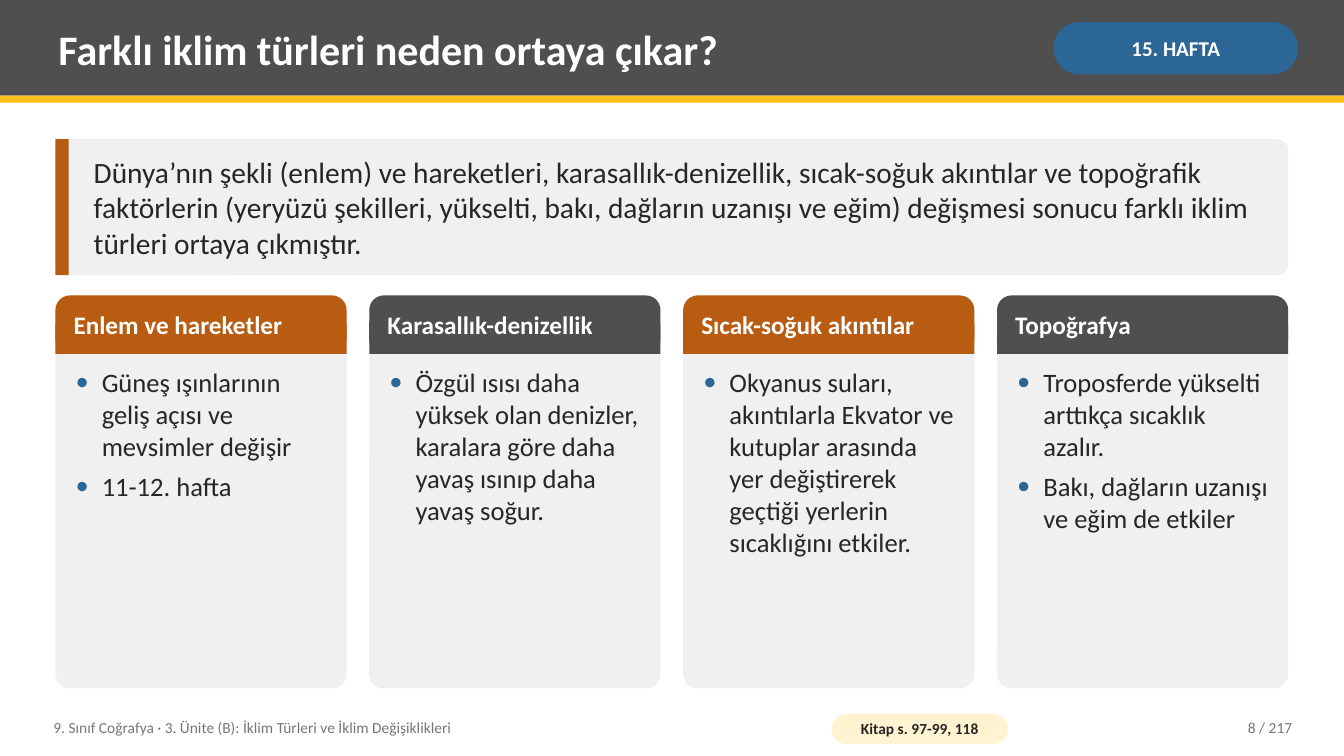
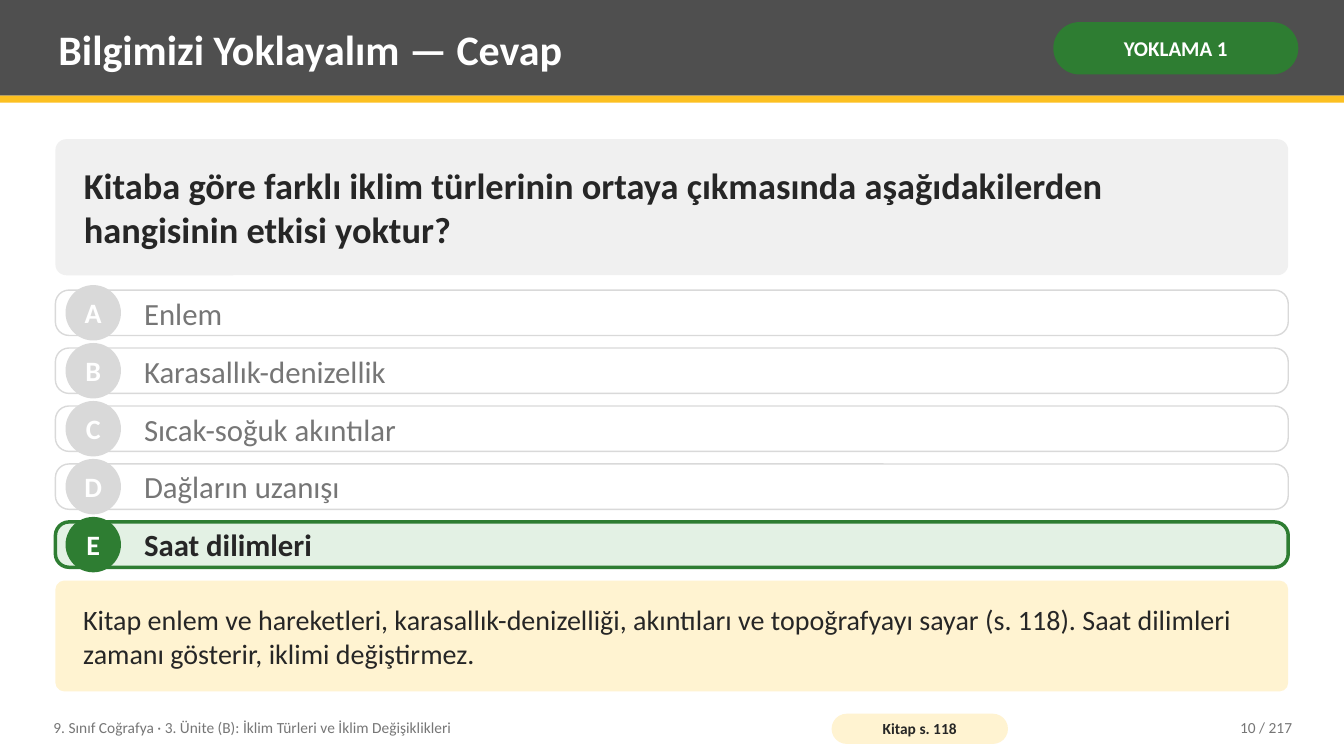
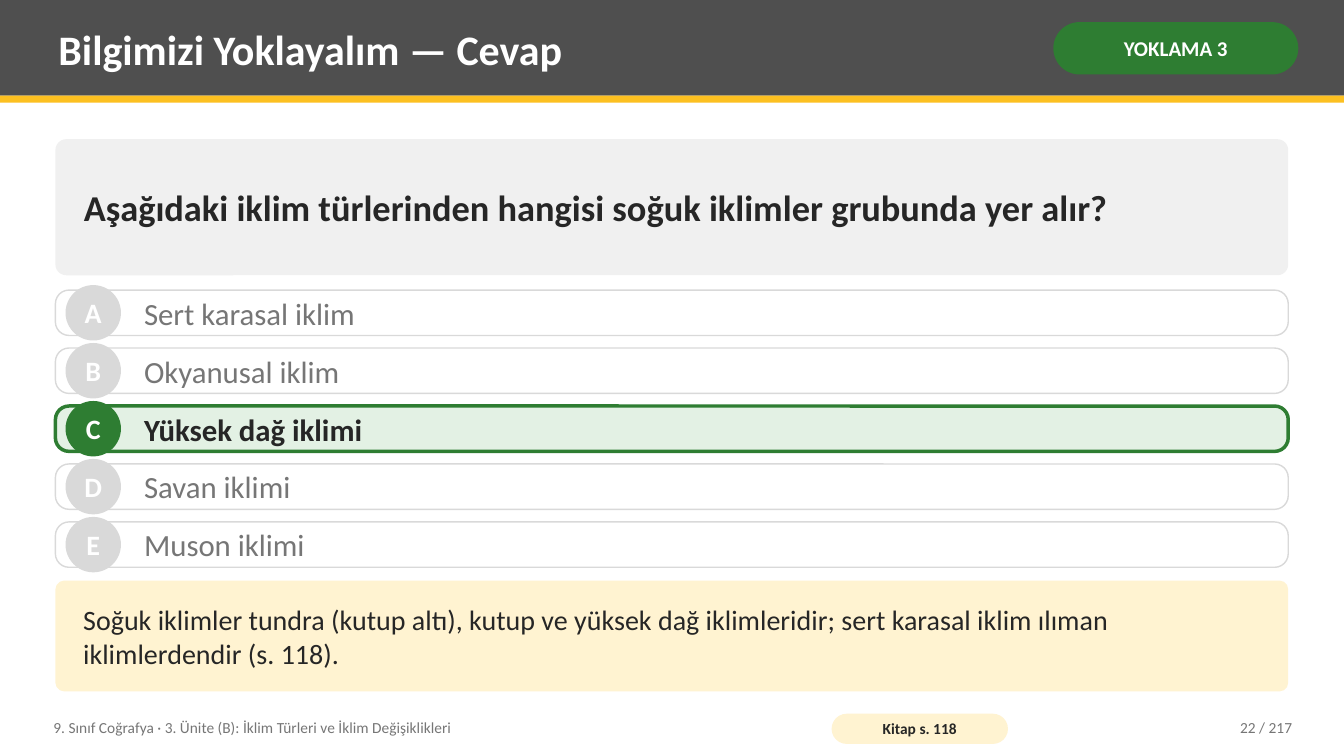
from dataclasses import dataclass
from typing import NamedTuple

from lxml.etree import SubElement
from pptx import Presentation
from pptx.dml.color import RGBColor
from pptx.enum.shapes import MSO_SHAPE
from pptx.enum.text import MSO_ANCHOR, PP_ALIGN
from pptx.oxml.ns import qn
from pptx.util import Pt


@dataclass(frozen=True)
class Theme:
    """Hold the colours, font and type sizes of the presentation."""

    font: str = "Calibri"
    dark: str = "4F4F4F"
    gold: str = "FCC021"
    cream: str = "FFF3D1"
    blue: str = "2C6696"
    orange: str = "B85C12"
    green: str = "2E7D32"
    mint: str = "E3F1E4"
    panel: str = "F0F0F0"
    faded: str = "D9D9D9"
    muted: str = "767676"
    ink: str = "262626"
    white: str = "FFFFFF"
    title_size: int = 30
    question_size: int = 26
    option_size: int = 22
    summary_size: int = 21
    badge_size: int = 20
    explanation_size: int = 20
    bullet_size: int = 19
    card_title_size: int = 18
    tag_size: int = 15
    footer_size: int = 11


class Box(NamedTuple):
    """Describe a rectangle in points."""

    left: float
    top: float
    width: float
    height: float

    def inner(self, left, top, width, height):
        """Return a box placed relative to this one."""
        return Box(self.left + left, self.top + top, width, height)


THEME = Theme()
PAGE = Box(0, 0, 960, 540)
HEADER = Box(0, 0, PAGE.width, 73.4)
FOOTER = Box(32.4, 506.9, 896.4, 25.9)
LEAD = Box(39.6, 99.4, 880.6, 97.2)
CARDS = Box(39.6, 211, 880.6, 280.8)
OPTIONS = Box(39.6, 207.2, 880.6, 198)
EXPLANATION = Box(39.6, 414.7, 880.6, 79.2)
TEXT_INSETS = (5.76, 2.88)
PANEL_INSETS = (18, 5.76)
FOOTER_TEXT = "9. Sınıf Coğrafya · 3. Ünite (B): İklim Türleri ve İklim Değişiklikleri"
PAGE_TOTAL = 217


def rgb(colour):
    """Convert a hexadecimal colour."""
    return RGBColor.from_string(colour)


def write(shape, lines, size, colour, bold=False, align=PP_ALIGN.LEFT,
          anchor=MSO_ANCHOR.MIDDLE, insets=TEXT_INSETS, wrap=True):
    """Set the paragraphs of a shape and format their runs."""
    text_frame = shape.text_frame
    text_frame.text = "\n".join(lines)
    text_frame.word_wrap = wrap
    text_frame.vertical_anchor = anchor
    text_frame.margin_left = text_frame.margin_right = Pt(insets[0])
    text_frame.margin_top = text_frame.margin_bottom = Pt(insets[1])
    for paragraph in text_frame.paragraphs:
        paragraph.alignment = align
        for run in paragraph.runs:
            run.font.name = THEME.font
            run.font.size = Pt(size)
            run.font.bold = bold
            run.font.color.rgb = rgb(colour)


def add_text(slide, box, lines, size, colour, **style):
    """Add a text box."""
    shape = slide.shapes.add_textbox(*map(Pt, box))
    write(shape, lines, size, colour, **style)
    return shape


def add_block(slide, box, fill, kind=MSO_SHAPE.RECTANGLE, corner=None, line=None):
    """Add a filled shape with an optional corner ratio and outline."""
    shape = slide.shapes.add_shape(kind, *map(Pt, box))
    shape.shadow.inherit = False
    shape.fill.solid()
    shape.fill.fore_color.rgb = rgb(fill)
    if corner is not None:
        shape.adjustments[0] = corner
    if line:
        shape.line.color.rgb = rgb(line[0])
        shape.line.width = Pt(line[1])
    else:
        shape.line.fill.background()
    return shape


def add_rounded(slide, box, fill, corner, line=None):
    """Add a rounded rectangle."""
    return add_block(slide, box, fill, MSO_SHAPE.ROUNDED_RECTANGLE, corner, line)


def add_bullet(paragraph):
    """Give a paragraph a hanging coloured bullet."""
    properties = paragraph._p.get_or_add_pPr()
    properties.set("marL", str(Pt(18.72)))
    properties.set("indent", str(-Pt(18.72)))
    colour = SubElement(properties, qn("a:buClr"))
    SubElement(colour, qn("a:srgbClr"), val=THEME.blue)
    SubElement(properties, qn("a:buFont"), typeface=THEME.font)
    SubElement(properties, qn("a:buChar"), char="•")


def add_header(slide, box, title, tag, tag_colour):
    """Add the title band, its gold rule and the tag."""
    add_block(slide, box.inner(0, 0, box.width, 68.4), THEME.dark)
    add_block(slide, box.inner(0, 68.4, box.width, 5), THEME.gold)
    add_text(slide, box.inner(36, 5, 702, 59), [title], THEME.title_size, THEME.white, bold=True)
    pill = add_rounded(slide, box.inner(752.4, 15.8, 175, 37.4), tag_colour, 0.5)
    write(pill, [tag], THEME.tag_size, THEME.white, bold=True,
          align=PP_ALIGN.CENTER, insets=(3.6, 1.44))


def add_footer(slide, box, source, number):
    """Add the unit name, the book reference and the page number."""
    add_text(slide, box.inner(0, 0, 547.2, box.height), [FOOTER_TEXT],
             THEME.footer_size, THEME.muted)
    pill = add_rounded(slide, box.inner(561.6, 2.9, 126, 21.6), THEME.cream, 0.5)
    write(pill, [source], THEME.footer_size, THEME.ink, bold=True,
          align=PP_ALIGN.CENTER, insets=(2.88, 0))
    add_text(slide, box.inner(box.width - 115.2, 0, 115.2, box.height),
             [f"{number} / {PAGE_TOTAL}"], THEME.footer_size, THEME.muted, align=PP_ALIGN.RIGHT)


def add_summary(slide, box, text):
    """Add the summary panel with its accent bar."""
    add_rounded(slide, box, THEME.panel, 0.08)
    add_block(slide, box.inner(0, 0, 9.4, box.height), THEME.orange)
    add_text(slide, box.inner(21.6, 0, box.width - 32.4, box.height), [text],
             THEME.summary_size, THEME.ink)


def add_card(slide, box, title, points, colour):
    """Add a card with a coloured heading and bulleted points."""
    heading = 41.8
    add_rounded(slide, box, THEME.panel, 0.05)
    add_rounded(slide, box.inner(0, 0, box.width, heading), colour, 0.25)
    add_block(slide, box.inner(0, heading / 2, box.width, heading / 2), colour)
    add_text(slide, box.inner(7.2, 0, box.width - 14.4, heading), [title],
             THEME.card_title_size, THEME.white, bold=True)
    body = add_text(slide, box.inner(8.64, 47.5, box.width - 17.28, box.height - 53.3), points,
                    THEME.bullet_size, THEME.ink, anchor=MSO_ANCHOR.TOP)
    paragraphs = body.text_frame.paragraphs
    for paragraph in paragraphs:
        add_bullet(paragraph)
    for paragraph in paragraphs[:-1]:
        paragraph.space_after = Pt(6)


def add_cards(slide, box, cards):
    """Spread cards over equal columns in alternating colours."""
    gap = 16.2
    width = (box.width - gap * (len(cards) - 1)) / len(cards)
    for index, (title, points) in enumerate(cards):
        colour = THEME.dark if index % 2 else THEME.orange
        add_card(slide, box.inner(index * (width + gap), 0, width, box.height),
                 title, points, colour)


def add_option(slide, box, letter, text, correct):
    """Add one answer row, highlighted when correct."""
    accent = THEME.green if correct else THEME.faded
    add_rounded(slide, box, THEME.mint if correct else THEME.white, 0.3,
                (accent, 2.5 if correct else 1))
    badge = add_block(slide, box.inner(7.2, -3.6, 39.6, 39.6), accent, MSO_SHAPE.OVAL)
    write(badge, [letter], THEME.badge_size, THEME.white, bold=True,
          align=PP_ALIGN.CENTER, insets=(0, 0), wrap=False)
    add_text(slide, box.inner(57.6, 0, box.width - 72, box.height), [text], THEME.option_size,
             THEME.ink if correct else THEME.muted, bold=correct)


def add_options(slide, box, options, answer):
    """Stack the answer rows at an equal pitch."""
    height = 32.4
    pitch = (box.height - height) / (len(options) - 1)
    for index, (letter, text) in enumerate(zip("ABCDE", options)):
        add_option(slide, box.inner(0, index * pitch, box.width, height),
                   letter, text, letter == answer)


def add_text_panel(slide, box, text, fill, size, bold=False):
    """Add a rounded panel that holds its own text."""
    panel = add_rounded(slide, box, fill, 0.08)
    write(panel, [text], size, THEME.ink, bold=bold, insets=PANEL_INSETS)


def new_slide(presentation, title, tag, tag_colour, source, number):
    """Add a blank slide with the shared header and footer."""
    slide = presentation.slides.add_slide(presentation.slide_layouts[6])
    add_header(slide, HEADER, title, tag, tag_colour)
    add_footer(slide, FOOTER, source, number)
    return slide


def add_topic_slide(presentation, title, tag, source, number, summary, cards):
    """Build a topic slide with a summary and cards."""
    slide = new_slide(presentation, title, tag, THEME.blue, source, number)
    add_summary(slide, LEAD, summary)
    add_cards(slide, CARDS, cards)


def add_answer_slide(presentation, tag, source, number, question, options, answer, explanation):
    """Build a quiz slide that shows the correct answer."""
    slide = new_slide(presentation, "Bilgimizi Yoklayalım — Cevap", tag, THEME.green,
                      source, number)
    add_text_panel(slide, LEAD, question, THEME.panel, THEME.question_size, bold=True)
    add_options(slide, OPTIONS, options, answer)
    add_text_panel(slide, EXPLANATION, explanation, THEME.cream, THEME.explanation_size)


def main():
    """Build and save the presentation."""
    presentation = Presentation()
    presentation.slide_width = Pt(PAGE.width)
    presentation.slide_height = Pt(PAGE.height)
    add_topic_slide(
        presentation, "Farklı iklim türleri neden ortaya çıkar?", "15. HAFTA",
        "Kitap s. 97-99, 118", 8,
        "Dünya’nın şekli (enlem) ve hareketleri, karasallık-denizellik, sıcak-soğuk akıntılar "
        "ve topoğrafik faktörlerin (yeryüzü şekilleri, yükselti, bakı, dağların uzanışı ve "
        "eğim) değişmesi sonucu farklı iklim türleri ortaya çıkmıştır.",
        [
            ("Enlem ve hareketler",
             ["Güneş ışınlarının geliş açısı ve mevsimler değişir", "11-12. hafta"]),
            ("Karasallık-denizellik",
             ["Özgül ısısı daha yüksek olan denizler, karalara göre daha yavaş ısınıp "
              "daha yavaş soğur."]),
            ("Sıcak-soğuk akıntılar",
             ["Okyanus suları, akıntılarla Ekvator ve kutuplar arasında yer değiştirerek "
              "geçtiği yerlerin sıcaklığını etkiler."]),
            ("Topoğrafya",
             ["Troposferde yükselti arttıkça sıcaklık azalır.",
              "Bakı, dağların uzanışı ve eğim de etkiler"]),
        ])
    add_answer_slide(
        presentation, "YOKLAMA 1", "Kitap s. 118", 10,
        "Kitaba göre farklı iklim türlerinin ortaya çıkmasında aşağıdakilerden hangisinin "
        "etkisi yoktur?",
        ["Enlem", "Karasallık-denizellik", "Sıcak-soğuk akıntılar", "Dağların uzanışı",
         "Saat dilimleri"],
        "E",
        "Kitap enlem ve hareketleri, karasallık-denizelliği, akıntıları ve topoğrafyayı sayar "
        "(s. 118). Saat dilimleri zamanı gösterir, iklimi değiştirmez.")
    add_answer_slide(
        presentation, "YOKLAMA 3", "Kitap s. 118", 22,
        "Aşağıdaki iklim türlerinden hangisi soğuk iklimler grubunda yer alır?",
        ["Sert karasal iklim", "Okyanusal iklim", "Yüksek dağ iklimi", "Savan iklimi",
         "Muson iklimi"],
        "C",
        "Soğuk iklimler tundra (kutup altı), kutup ve yüksek dağ iklimleridir; sert karasal "
        "iklim ılıman iklimlerdendir (s. 118).")
    presentation.save("out.pptx")


if __name__ == "__main__":
    main()
